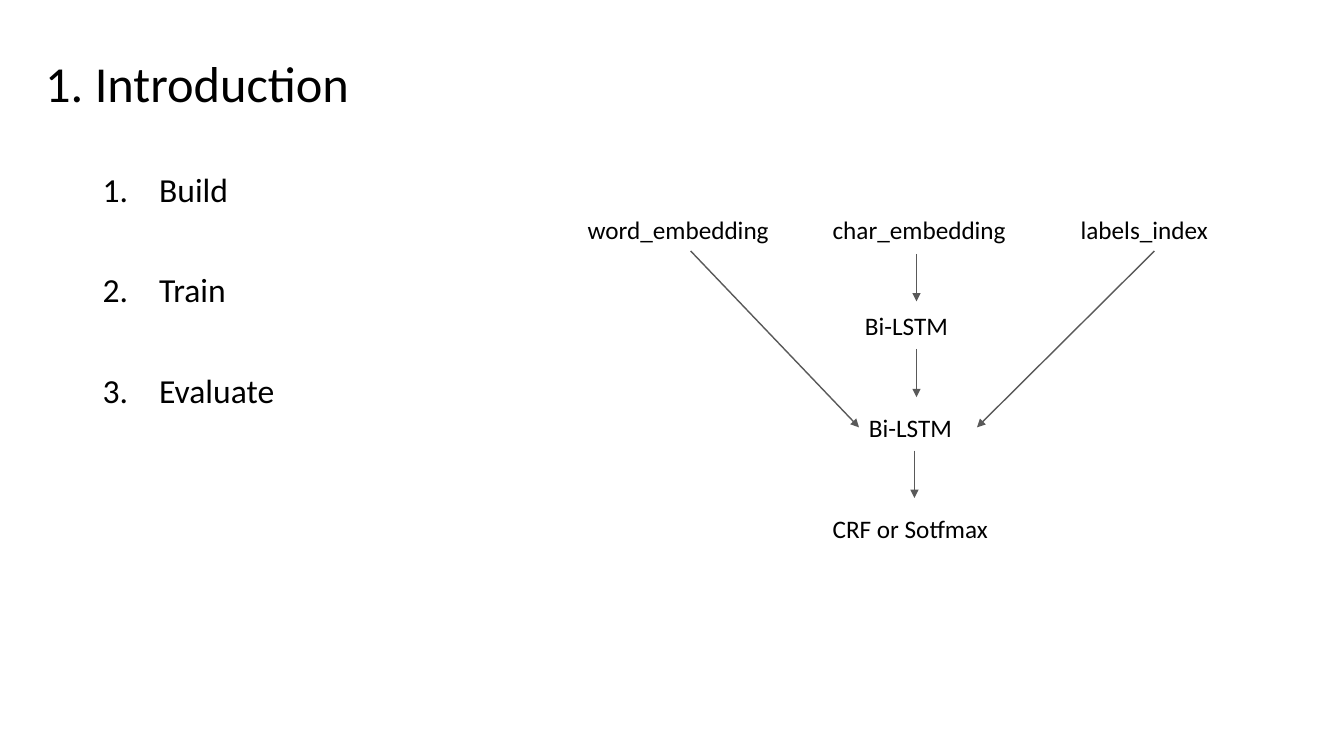
from pptx import Presentation
from pptx.dml.color import RGBColor as Rgb
from pptx.enum.shapes import MSO_CONNECTOR as Conn
from pptx.enum.text import MSO_ANCHOR as Anchor
from pptx.oxml.ns import qn
from pptx.util import Pt
from lxml.etree import SubElement as Sub

PX = 9144
INK = {"text": "000000", "line": "595959"}
FONT = "Calibri"

deck = Presentation()
deck.slide_width, deck.slide_height = 1333 * PX, 750 * PX
slide = deck.slides.add_slide(deck.slide_layouts[6])


def add_box(x, y, w, h):
    box = slide.shapes.add_textbox(x * PX, y * PX, w * PX, h * PX)
    box.text_frame.word_wrap = True
    return box.text_frame


def add_run(para, text, size):
    run = para.add_run()
    run.text = text
    run.font.name = FONT
    run.font.size = Pt(size)
    run.font.color.rgb = Rgb.from_string(INK["text"])


title = add_box(35, 41, 1005, 89)
title.vertical_anchor = Anchor.MIDDLE
title.paragraphs[0].line_spacing = 0.9
add_run(title.paragraphs[0], "1. Introduction", 36)

steps = add_box(92, 167, 1150, 476)
for i, step in enumerate(["Build", "Train", "Evaluate"]):
    para = steps.add_paragraph() if i else steps.paragraphs[0]
    para.line_spacing = 0.9
    para.space_after = Pt(46)
    props = para._p.get_or_add_pPr()
    props.set("marL", str(56 * PX))
    props.set("indent", str(-56 * PX))
    Sub(props, qn("a:buFont"), typeface="+mj-lt")
    Sub(props, qn("a:buAutoNum"), type="arabicPeriod")
    add_run(para, step, 24)

nodes = [
    ("word_embedding", 573, 208, 223),
    ("char_embedding", 816, 208, 223),
    ("labels_index", 1062, 208, 223),
    ("Bi-LSTM", 848, 303, 125),
    ("Bi-LSTM", 852, 404, 125),
    ("CRF or Sotfmax", 816, 504, 223),
]
for name, x, y, w in nodes:
    add_run(add_box(x, y, w, 40).paragraphs[0], name, 18)

arrows = [
    (909, 252, 909, 299),
    (685, 249, 852, 424),
    (1145, 249, 969, 424),
    (909, 346, 909, 394),
    (907, 447, 907, 494),
]
for ends in arrows:
    arrow = slide.shapes.add_connector(Conn.STRAIGHT, *[v * PX for v in ends])
    arrow.line.color.rgb = Rgb.from_string(INK["line"])
    arrow.line.width = Pt(1)
    Sub(arrow.line._get_or_add_ln(), qn("a:tailEnd"), type="triangle")
    Sub(arrow._element.spPr, qn("a:effectLst"))

deck.save("out.pptx")
